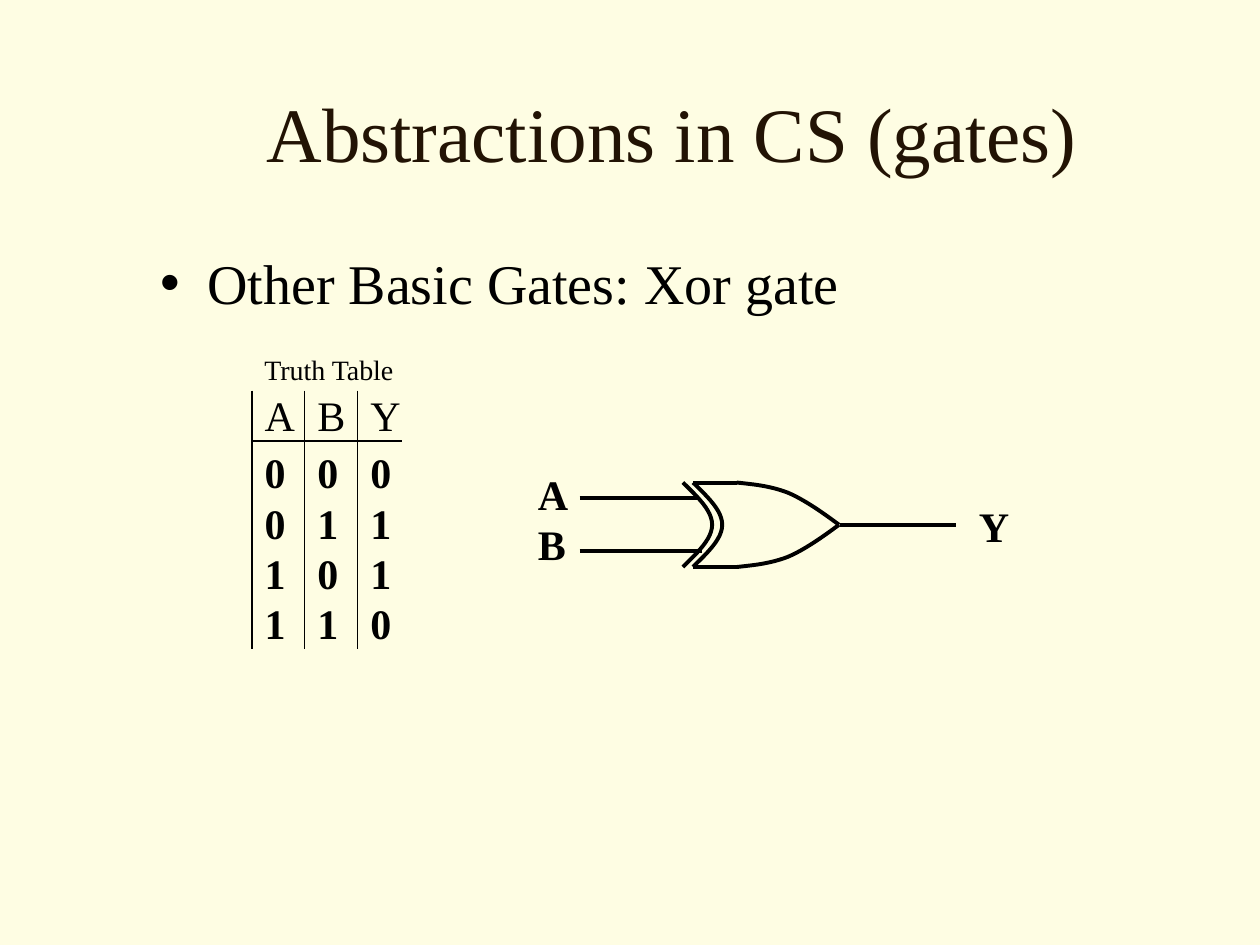
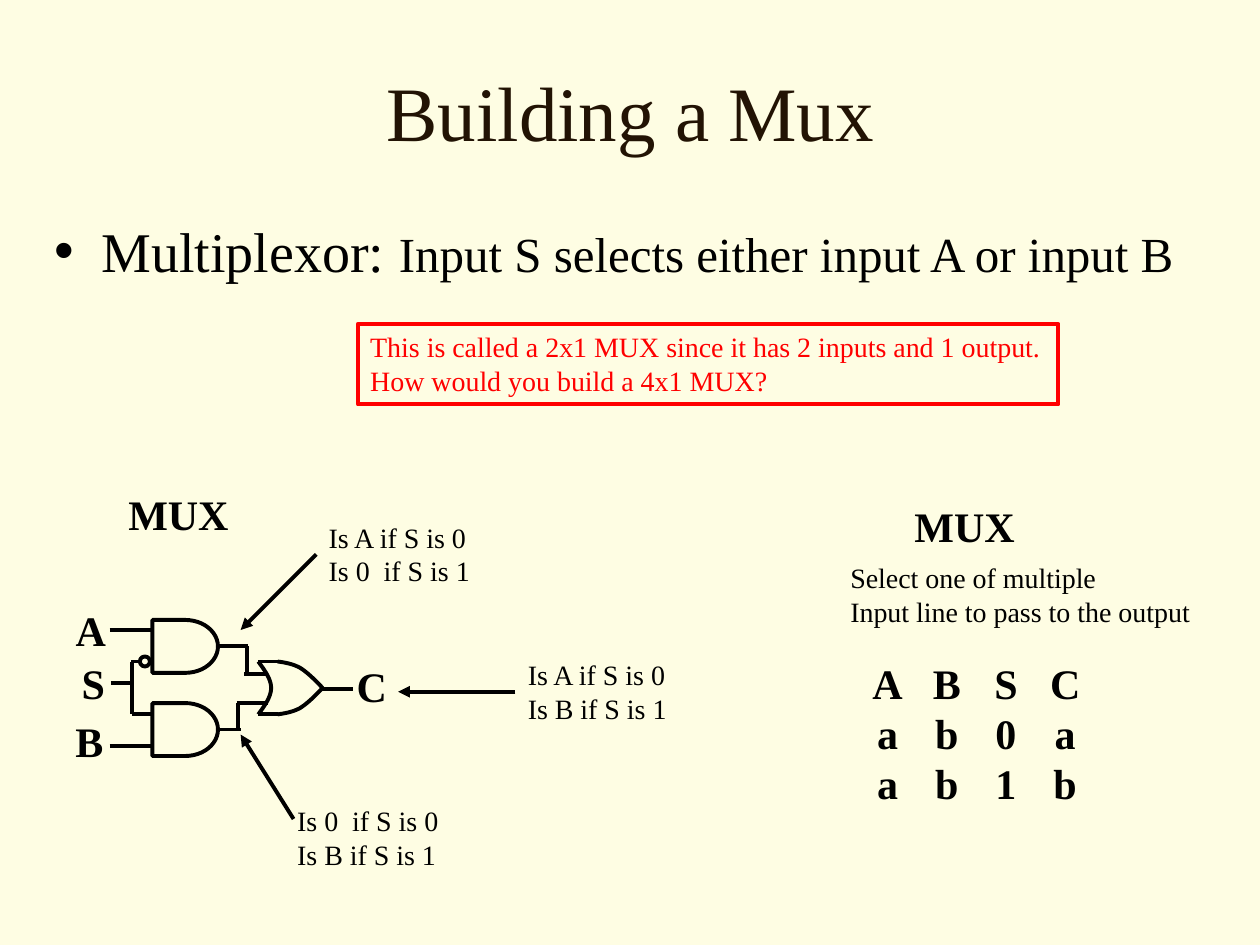
from lxml import etree
from pptx import Presentation
from pptx.dml.color import RGBColor
from pptx.enum.shapes import MSO_CONNECTOR, MSO_SHAPE
from pptx.enum.text import MSO_ANCHOR as Anchor, MSO_AUTO_SIZE as AutoSize, PP_ALIGN as Align
from pptx.oxml.ns import qn
from pptx.util import Inches, Pt

FONT = "Times New Roman"
CREAM = RGBColor(0xFE, 0xFD, 0xE3)
BROWN = RGBColor(0x22, 0x13, 0x04)
BLACK = RGBColor(0, 0, 0)
RED = RGBColor(0xFF, 0, 0)
STROKE = Pt(2.25)


def write(frame, text, size=24, bold=False, color=BLACK, align=Align.LEFT, before=0):
    """Fill a text frame, one paragraph for each line of text."""
    frame.text = text
    for para in frame.paragraphs:
        para.alignment = align
        para.space_before = Pt(before)
        for span in para.runs:
            span.font.name = FONT
            span.font.size = Pt(size)
            span.font.bold = bold
            span.font.color.rgb = color


def wire(page, start, end, arrow=False):
    """Draw a straight line between two points given in inches."""
    line = page.shapes.add_connector(
        MSO_CONNECTOR.STRAIGHT, *[Inches(value) for value in (*start, *end)])
    line.line.color.rgb = BLACK
    line.line.width = STROKE
    etree.SubElement(line._element.spPr, qn("a:effectLst"))
    if arrow:
        etree.SubElement(line.line._get_or_add_ln(), qn("a:tailEnd"), type="triangle")
    return line


deck = Presentation()
deck.slide_width, deck.slide_height = Inches(10), Inches(7.5)
background = deck.slide_master.background.fill
background.solid()
background.fore_color.rgb = CREAM

# Pages with title and list: text, (left, top, width, height), space before the list
outlines = [
    ("Abstractions in CS (gates)", (1.17, 0.42, 8.33, 1.25),
     "Other Basic Gates: Xor gate", (1.17, 1.92, 8.33, 4.5), 8),
    ("Building a Mux", (0.17, 0.25, 9.67, 1.25),
     "Multiplexor: ", (0.33, 1.67, 9.17, 4.5), 7),
]
pages = []
for title, title_area, topic, topic_area, before in outlines:
    page = deck.slides.add_slide(deck.slide_layouts[1])
    heading, body = page.placeholders
    for holder, area in ((heading, title_area), (body, topic_area)):
        holder.left, holder.top, holder.width, holder.height = map(Inches, area)
        holder.text_frame.auto_size = AutoSize.NONE
    heading.text_frame.vertical_anchor = Anchor.MIDDLE
    write(heading.text_frame, title, size=44, color=BROWN, align=Align.CENTER)
    write(body.text_frame, topic, size=32, before=before)
    pages.append(page)
xor_page, mux_page = pages

detail = body.text_frame.paragraphs[0].add_run()
detail.text = "Input S selects either input A or input B"
detail.font.name, detail.font.size = FONT, Pt(28)
detail.font.color.rgb = BLACK

# Labels: page, text, (left, top, width, height), format
small, strong = {"size": 16}, {"bold": True}
centred = {"bold": True, "align": Align.CENTER}
labels = [
    (xor_page, "Truth Table", (2, 2.75, 1.4, 0.37), small),
    (xor_page, "A\nB", (4.17, 3.67, 0.5, 0.9), strong),
    (xor_page, "Y", (7.67, 3.92, 0.5, 0.5), strong),
    (mux_page, "MUX", (7.16, 3.92, 1.2, 0.5), strong),
    (mux_page, "Select one of multiple\nInput line to pass to the output",
     (6.65, 4.4, 3.1, 0.64), small),
    (mux_page, "MUX", (0.92, 3.83, 1.2, 0.5), strong),
    (mux_page, "A", (0.42, 4.75, 0.6, 0.5), centred),
    (mux_page, "S", (0.44, 5.17, 0.6, 0.5), centred),
    (mux_page, "B", (0.41, 5.63, 0.6, 0.5), centred),
    (mux_page, "C", (2.65, 5.19, 0.6, 0.5), centred),
    (mux_page, "Is A if S is 0\nIs 0  if S is 1", (2.51, 4.08, 1.45, 0.64), small),
    (mux_page, "Is 0  if S is 0\nIs B if S is 1", (2.26, 6.33, 1.45, 0.64), small),
    (mux_page, "Is A if S is 0\nIs B if S is 1", (4.09, 5.17, 1.45, 0.64), small),
    (mux_page, "This is called a 2x1 MUX since it has 2 inputs and 1 output.\n"
     "How would you build a 4x1 MUX?", (2.84, 2.57, 5.56, 0.64), {"size": 16, "color": RED}),
]
boxes = []
for page, text, area, style in labels:
    box = page.shapes.add_textbox(*map(Inches, area))
    box.text_frame.word_wrap = True
    box.text_frame.auto_size = AutoSize.NONE
    write(box.text_frame, text, **style)
    boxes.append(box)
upper_note, lower_note, output_note, question = boxes[-4:]
question.line.color.rgb = RED
question.line.width = STROKE

# Truth tables: only the Xor table has rules
tables = [
    (xor_page, (2, 3.1), ("ABY", "000", "011", "101", "110"),
     (0.42, 0.42, 0.35), (0.4, 0.45, 0.4, 0.4, 0.4), True),
    (mux_page, (6.81, 5.22), ("ABSC", "ab0a", "ab1b"), (0.47,) * 4, (0.4,) * 3, False),
]
for page, corner, rows, widths, heights, ruled in tables:
    size = (sum(widths), sum(heights))
    table = page.shapes.add_table(
        len(rows), len(widths), *map(Inches, corner + size)).table
    table.first_row = table.horz_banding = False
    for column, width in zip(table.columns, widths):
        column.width = Inches(width)
    for r, (values, height) in enumerate(zip(rows, heights)):
        table.rows[r].height = Inches(height)
        for c, value in enumerate(values):
            cell = table.cell(r, c)
            cell.margin_left = Inches(0.1 if ruled else 0)
            cell.margin_right = cell.margin_top = cell.margin_bottom = 0
            cell.vertical_anchor = Anchor.BOTTOM
            write(cell.text_frame, value, bold=r > 0 or not ruled,
                  align=Align.LEFT if ruled else Align.CENTER)
            borders = {"a:lnL": ruled, "a:lnR": ruled and c < len(widths) - 1,
                       "a:lnT": ruled and r == 1, "a:lnB": ruled and r == 0}
            for side, visible in borders.items():
                border = etree.SubElement(
                    cell._tc.get_or_add_tcPr(), qn(side), w=str(Pt(0.75)))
                if visible:
                    paint = etree.SubElement(border, qn("a:solidFill"))
                    etree.SubElement(paint, qn("a:srgbClr"), val=str(BLACK))
                else:
                    etree.SubElement(border, qn("a:noFill"))
            cell.fill.background()

# And gates and the inverter bubble of the mux
parts = []
for kind, area in [
    (MSO_SHAPE.FLOWCHART_DELAY, (1.21, 4.92, 0.52, 0.42)),
    (MSO_SHAPE.FLOWCHART_DELAY, (1.21, 5.58, 0.52, 0.42)),
    (MSO_SHAPE.OVAL, (1.11, 5.21, 0.08, 0.08)),
]:
    part = mux_page.shapes.add_shape(kind, *map(Inches, area))
    part.shadow.inherit = False
    part.fill.background()
    part.line.color.rgb = BLACK
    part.line.width = STROKE
    parts.append(part)
upper_and, lower_and, bubble = parts

# Wires
for start, end in [((4.6, 3.95), (5.54, 3.95)), ((4.6, 4.37), (5.57, 4.37)),
                   ((6.67, 4.17), (7.59, 4.17))]:
    wire(xor_page, start, end)
for start, end in [
    ((0.87, 5), (1.21, 5)), ((0.87, 5.92), (1.21, 5.92)),
    ((0.88, 5.42), (1.05, 5.42)), ((1.05, 5.25), (1.05, 5.67)),
    ((1.04, 5.25), (1.12, 5.25)), ((1.05, 5.67), (1.21, 5.67)),
    ((1.96, 5.35), (1.96, 5.13)), ((1.94, 5.35), (2.11, 5.35)),
    ((1.89, 5.79), (1.89, 5.58)), ((1.88, 5.58), (2.13, 5.58)),
    ((2.55, 5.47), (2.8, 5.47)),
]:
    wire(mux_page, start, end)
for gate, start, end in [(upper_and, (1.73, 5.13), (1.97, 5.13)),
                         (lower_and, (1.73, 5.79), (1.91, 5.79))]:
    wire(mux_page, start, end).begin_connect(gate, 3)

# Arrows from the notes
wire(mux_page, (2.51, 4.4), (1.91, 5), arrow=True).begin_connect(upper_note, 1)
wire(mux_page, (4.09, 5.49), (3.16, 5.49), arrow=True).begin_connect(output_note, 1)
wire(mux_page, (2.33, 6.5), (1.91, 5.83), arrow=True)

# Or gate as chained Bezier curves in a unit square
lower_side = [(0.3, 1), (0.41, 0.98), (0.53, 0.96), (0.65, 0.88),
              (0.77, 0.79), (0.89, 0.64), (1, 0.5)]
upper_side = [(x, 1 - y) for x, y in lower_side]
back = [(0, 1), (0.1, 0.83), (0.2, 0.67), (0.2, 0.5), (0.2, 0.33), (0.1, 0.17), (0, 0)]
STEPS = 12
for page, left, top, width, height, curves in [
    (xor_page, 5.5, 3.83, 1.16, 0.67, (lower_side, upper_side, back)),
    (xor_page, 5.42, 3.83, 1.16, 0.67, (back,)),
    (mux_page, 2.05, 5.25, 0.51, 0.42, (lower_side, upper_side, back)),
]:
    for curve in curves:
        points = []
        for first in (0, 3):
            for step in range(STEPS + 1):
                t = step / STEPS
                weights = ((1 - t) ** 3, 3 * t * (1 - t) ** 2, 3 * t * t * (1 - t), t ** 3)
                x, y = (sum(w * p[axis] for w, p in zip(weights, curve[first:first + 4]))
                        for axis in (0, 1))
                points.append((Inches(left + width * x), Inches(top + height * y)))
        builder = page.shapes.build_freeform(*points[0])
        builder.add_line_segments(points[1:], close=False)
        outline = builder.convert_to_shape()
        outline.shadow.inherit = False
        outline.fill.background()
        outline.line.color.rgb = BLACK
        outline.line.width = STROKE
    if len(curves) > 1:
        for y in (top, top + height):
            wire(page, (left, y), (left + 0.3 * width, y))

deck.save("out.pptx")
